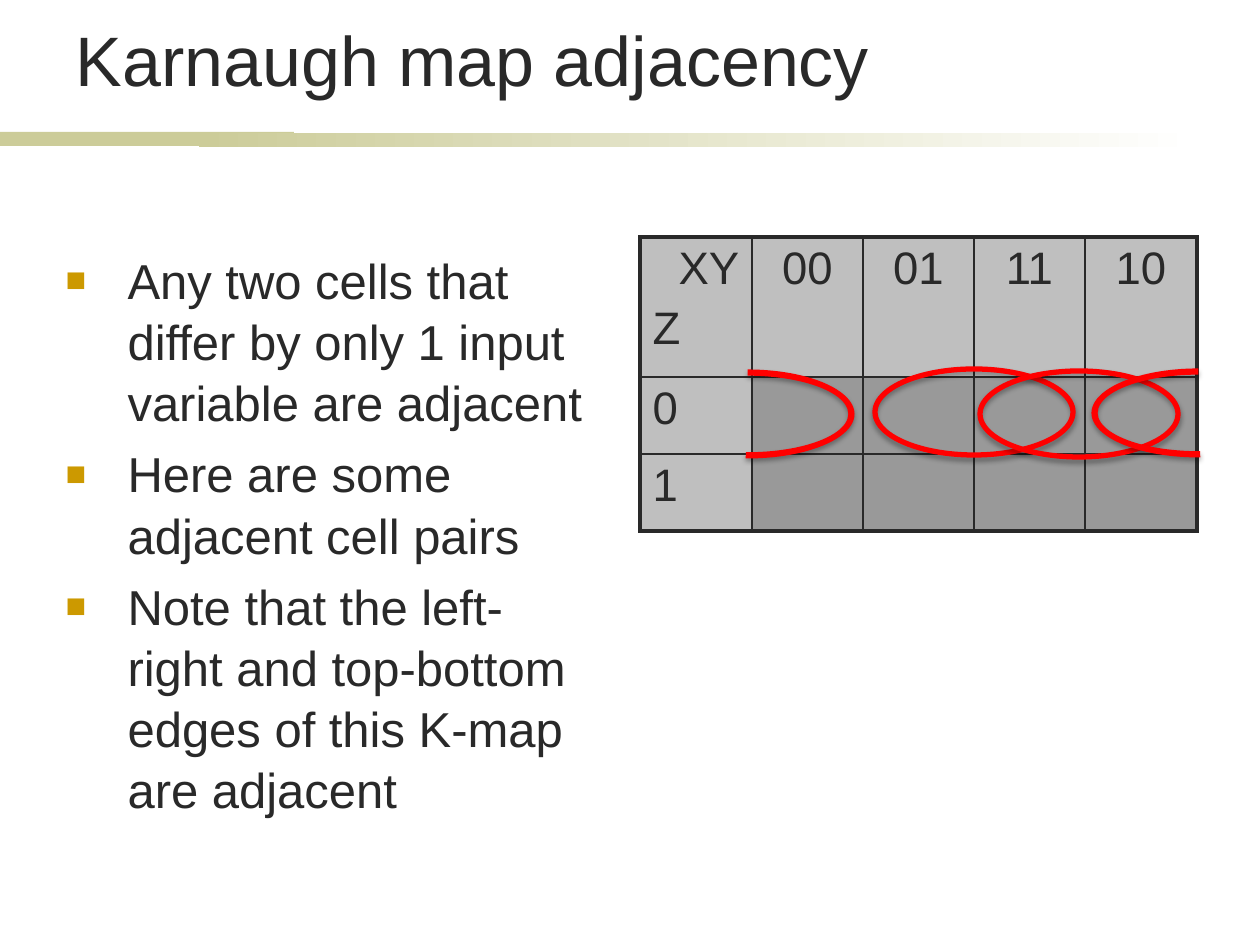
from lxml.etree import SubElement
from pptx import Presentation
from pptx.dml.color import RGBColor
from pptx.enum.shapes import MSO_SHAPE
from pptx.enum.text import MSO_ANCHOR, MSO_AUTO_SIZE, PP_ALIGN
from pptx.oxml import parse_xml
from pptx.oxml.ns import nsdecls, qn
from pptx.util import Emu, Pt

INK = RGBColor(0x29, 0x29, 0x29)
KHAKI = RGBColor(0xCC, 0xCC, 0x99)
WHITE = RGBColor(0xFF, 0xFF, 0xFF)
GOLD = RGBColor(0xCC, 0x99, 0x00)
HEADER_GREY = RGBColor(0xBF, 0xBF, 0xBF)
CELL_GREY = RGBColor(0x99, 0x99, 0x99)
RED = RGBColor(0xFF, 0x00, 0x00)

EMU_PER_PIXEL = 914400 / 126
THIN, THICK = Pt(1), Pt(2.25)


def px(pixels):
    """Turn pixels into EMU."""
    return Emu(round(pixels * EMU_PER_PIXEL))


class KarnaughSlide:
    """The current slide and the style of its elements."""

    font_name = "Arial"
    line_spacing = 1.04

    def __init__(self, slide):
        self.slide = slide

    def style(self, paragraph, size, align=PP_ALIGN.LEFT):
        """Set the font and alignment of a paragraph."""
        paragraph.alignment = align
        paragraph.font.name = self.font_name
        paragraph.font.size = Pt(size)
        paragraph.font.color.rgb = INK

    def place(self, placeholder, box, anchor):
        """Move a placeholder and return its text frame."""
        (placeholder.left, placeholder.top,
         placeholder.width, placeholder.height) = map(px, box)
        frame = placeholder.text_frame
        frame.auto_size = MSO_AUTO_SIZE.NONE
        frame.vertical_anchor = anchor
        return frame

    def title(self, text, box):
        """Fill the title placeholder."""
        frame = self.place(self.slide.shapes.title, box, MSO_ANCHOR.BOTTOM)
        frame.text = text
        self.style(frame.paragraphs[0], 40)
        frame.paragraphs[0].line_spacing = self.line_spacing

    def bullets(self, points, box):
        """Fill the body placeholder with square bullets."""
        frame = self.place(self.slide.placeholders[1], box, MSO_ANCHOR.TOP)
        frame.text = "\n".join(points)
        for point in frame.paragraphs:
            self.style(point, 28)
            point.space_before = Pt(5.6)
            point.line_spacing = self.line_spacing
            properties = point._p.get_or_add_pPr()
            properties.set("marL", str(px(62)))
            properties.set("indent", str(-px(62)))
            marks = [f'<a:buClr {nsdecls("a")}><a:srgbClr val="{GOLD}"/></a:buClr>',
                     f'<a:buSzPct {nsdecls("a")} val="70000"/>',
                     f'<a:buFont {nsdecls("a")} typeface="{self.font_name}"/>',
                     f'<a:buChar {nsdecls("a")} char="\u25a0"/>']
            start = properties.index(properties.find(qn("a:defRPr")))
            for offset, mark in enumerate(marks):
                properties.insert(start + offset, parse_xml(mark))

    def band(self, box, end_color):
        """Draw a rule that runs from khaki to the end colour."""
        band = self.slide.shapes.add_shape(MSO_SHAPE.RECTANGLE, *map(px, box))
        band.shadow.inherit = False
        band.line.fill.background()
        if end_color == KHAKI:
            band.fill.solid()
            band.fill.fore_color.rgb = KHAKI
        else:
            band.fill.gradient()
            band.fill.gradient_angle = 0
            for stop, color in zip(band.fill.gradient_stops, (KHAKI, end_color)):
                stop.color.rgb = color

    def cell_borders(self, cell, widths):
        """Draw the left, right, top and bottom borders of a cell."""
        properties = cell._tc.get_or_add_tcPr()
        for position, (side, width) in enumerate(zip("LRTB", widths)):
            properties.insert(position, parse_xml(
                f'<a:ln{side} {nsdecls("a")} w="{width}"><a:solidFill>'
                f'<a:srgbClr val="{INK}"/></a:solidFill></a:ln{side}>'))

    def karnaugh_map(self, rows, left, top, widths, heights):
        """Draw the map; each cell lists its (text, alignment) lines."""
        table = self.slide.shapes.add_table(
            len(heights), len(widths), px(left), px(top),
            px(sum(widths)), px(sum(heights))).table
        table.first_row = table.horz_banding = False
        for column, width in zip(table.columns, widths):
            column.width = px(width)
        for row, height in zip(table.rows, heights):
            row.height = px(height)
        last_row, last_column = len(heights) - 1, len(widths) - 1
        for r, row in enumerate(rows):
            for c, lines in enumerate(row):
                cell = table.cell(r, c)
                cell.fill.solid()
                cell.fill.fore_color.rgb = CELL_GREY if r and c else HEADER_GREY
                cell.text = "\n".join(text for text, _ in lines)
                for paragraph, (_, align) in zip(cell.text_frame.paragraphs, lines):
                    self.style(paragraph, 26, align)
                    paragraph.space_before = Pt(5.2)
                outer = (c == 0, c == last_column, r == 0, r == last_row)
                self.cell_borders(cell, [THICK if edge else THIN for edge in outer])

    def shadow(self, loop):
        """Give a loop a soft shadow below it."""
        loop.shadow.inherit = False
        effects = loop._element.spPr.find(qn("a:effectLst"))
        outer = SubElement(effects, qn("a:outerShdw"), blurRad=str(Pt(3.1)),
                           dist=str(Pt(1.8)), dir="5400000", rotWithShape="0")
        black = SubElement(outer, qn("a:srgbClr"), val="000000")
        SubElement(black, qn("a:alpha"), val="35000")

    def pair_loop(self, box):
        """Circle two neighbouring cells."""
        loop = self.slide.shapes.add_shape(MSO_SHAPE.OVAL, *map(px, box))
        loop.fill.background()
        loop.line.color.rgb = RED
        loop.line.width = Pt(3)
        self.shadow(loop)

    def edge_loop(self, box, rotation, flipped=False):
        """Draw half a loop that opens at an edge of the map."""
        loop = self.slide.shapes.add_shape(MSO_SHAPE.BLOCK_ARC, *map(px, box))
        for index, value in enumerate((108, 1.44, 0.07)):
            loop.adjustments[index] = value
        loop.rotation = rotation
        if flipped:
            loop._element.spPr.xfrm.set("flipH", "1")
        loop.fill.solid()
        loop.fill.fore_color.rgb = RED
        loop.line.fill.background()
        self.shadow(loop)


def main():
    """Build and save the slide."""
    deck = Presentation()
    deck.slide_width, deck.slide_height = px(1260), px(945)
    page = KarnaughSlide(deck.slides.add_slide(deck.slide_layouts[1]))
    page.band((0, 132, 294, 14), KHAKI)
    page.band((199, 133, 998, 14), WHITE)
    page.title("Karnaugh map adjacency", (63, 16, 1134, 91))
    page.bullets([
        "Any two cells that differ by only 1 input variable are adjacent",
        "Here are some adjacent cell pairs",
        "Note that the left-right and top-bottom edges of this K-map are adjacent",
    ], (53, 242, 554, 577))

    corner = [("XY", PP_ALIGN.RIGHT), ("Z", PP_ALIGN.LEFT)]
    inputs = [[(bits, PP_ALIGN.CENTER)] for bits in ("00", "01", "11", "10")]
    rows = [[corner, *inputs]]
    rows += [[[(z, PP_ALIGN.LEFT)]] + [[]] * len(inputs) for z in "01"]
    page.karnaugh_map(rows, 640, 237, (112, 111, 111, 111, 112), (140, 77, 77))

    for left, top in ((875, 369), (980, 371)):
        page.pair_loop((left, top, 198, 86))
    page.edge_loop((703, 307, 89, 214), 90)
    page.edge_loop((1154, 306, 89, 214), 270, flipped=True)
    deck.save("out.pptx")


main()
